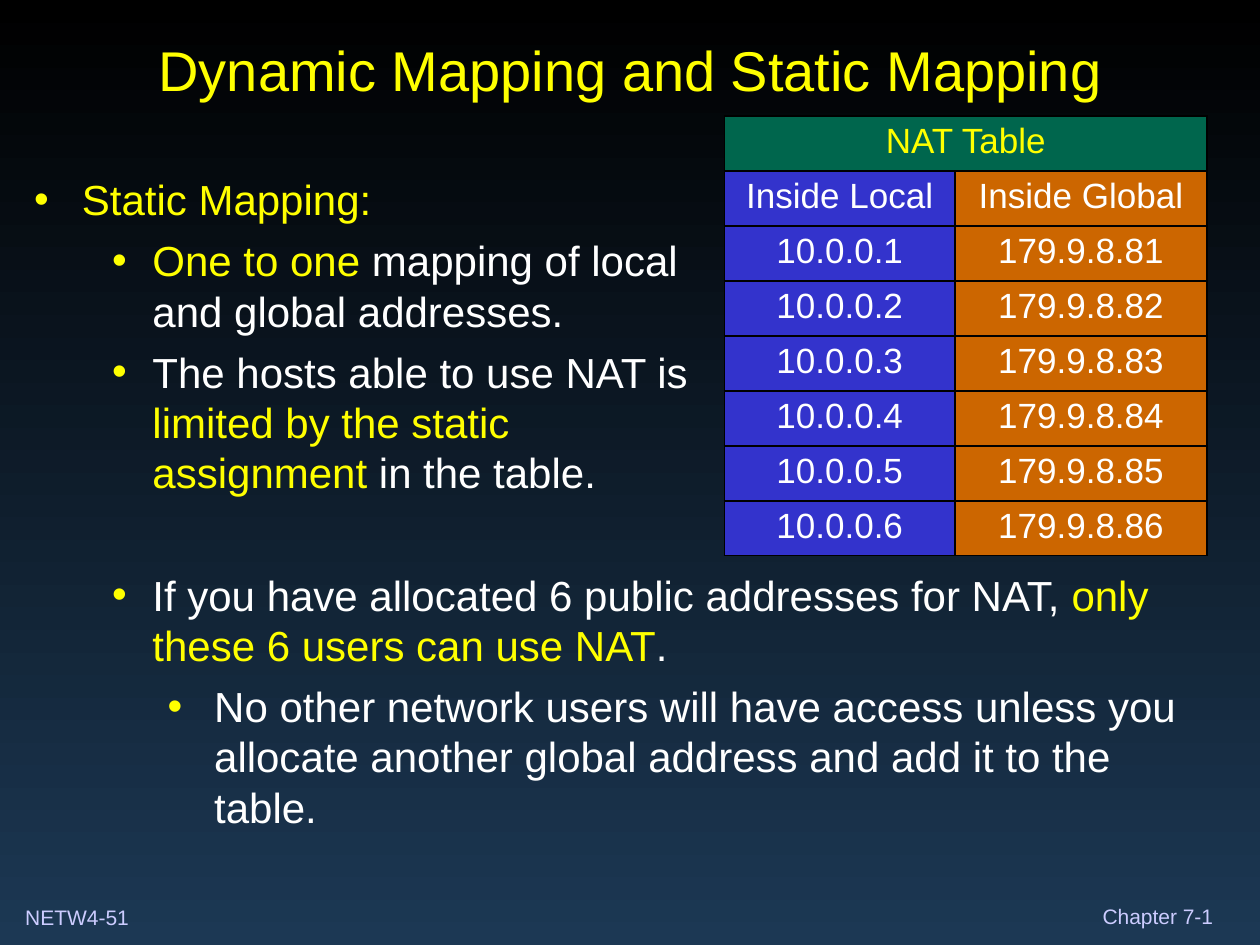
from lxml.etree import SubElement
from pptx import Presentation
from pptx.dml.color import RGBColor
from pptx.enum.text import MSO_ANCHOR, MSO_AUTO_SIZE, PP_ALIGN
from pptx.oxml.ns import qn
from pptx.util import Inches, Pt

COLORS = {
    "sky_top": "000000",
    "sky_bottom": "1C3854",
    "accent": "FFFF00",
    "text": "FFFFFF",
    "footer": "CCCCFF",
    "header": "00664D",
    "local": "3333CC",
    "global": "CC6600",
    "border": "000000",
}
INDENTS = [(0.38, -0.38), (0.94, -0.32), (1.43, -0.37)]
BULLETS = [
    (0, 0, [("Static Mapping:", "accent")]),
    (1, 6, [("One to one", "accent"),
            (" mapping of local\nand global addresses.", "text")]),
    (1, 6, [("The hosts able to use NAT is\n", "text"),
            ("limited by the static\nassignment", "accent"),
            (" in the table.", "text")]),
    (1, 41, [("If you have allocated 6 public addresses for NAT, ", "text"),
             ("only these 6 users can use NAT", "accent"), (".", "text")]),
    (2, 6, [("No other network users will have access unless you allocate "
             "another global address and add it to the table.", "text")]),
]
NAT_ROWS = [("Inside Local", "Inside Global")] + [
    (f"10.0.0.{n}", f"179.9.8.8{n}") for n in range(1, 7)]


def rgb(name):
    """Return the named colour."""
    return RGBColor.from_string(COLORS[name])


def write(p, text, size=24, color="text", align=None):
    """Add formatted text to a paragraph, breaking lines at newlines."""
    if align is not None:
        p.alignment = align
    for i, line in enumerate(text.split("\n")):
        if i:
            p.add_line_break()
        if line:
            r = p.add_run()
            r.text = line
            r.font.name = "Arial"
            r.font.size = Pt(size)
            r.font.color.rgb = rgb(color)


def place(sp, box, anchor=MSO_ANCHOR.TOP):
    """Move a shape to a box and return its wrapped text frame."""
    sp.left, sp.top, sp.width, sp.height = (Inches(v) for v in box)
    tf = sp.text_frame
    tf.word_wrap = True
    tf.auto_size = MSO_AUTO_SIZE.NONE
    tf.vertical_anchor = anchor
    return tf


def set_bullet(p, level):
    """Give a paragraph the hanging bullet of its level."""
    p.level = level
    left, hang = INDENTS[level]
    pPr = p._p.get_or_add_pPr()
    pPr.set("marL", str(Inches(left)))
    pPr.set("indent", str(Inches(hang)))
    clr = SubElement(pPr, qn("a:buClr"))
    SubElement(clr, qn("a:srgbClr"), val=COLORS["accent"])
    SubElement(pPr, qn("a:buFont"), typeface="Arial")
    SubElement(pPr, qn("a:buChar"), char="•")


def set_borders(cell):
    """Draw a thin line on every side of a cell."""
    tcPr = cell._tc.get_or_add_tcPr()
    for i, side in enumerate(("lnL", "lnR", "lnT", "lnB")):
        ln = tcPr.makeelement(qn(f"a:{side}"), {"w": str(Pt(1.08))})
        fill = SubElement(ln, qn("a:solidFill"))
        SubElement(fill, qn("a:srgbClr"), val=COLORS["border"])
        tcPr.insert(i, ln)


def add_background(s):
    """Fill the slide with a vertical gradient."""
    fill = s.background.fill
    fill.gradient()
    fill.gradient_angle = 270
    for stop, pos, name in zip(fill.gradient_stops, (0, 1), ("sky_top", "sky_bottom")):
        stop.position = pos
        stop.color.rgb = rgb(name)


def add_title(s, box):
    """Write the slide title."""
    tf = place(s.shapes.title, box, MSO_ANCHOR.MIDDLE)
    write(tf.paragraphs[0], "Dynamic Mapping and Static Mapping",
          size=32, color="accent", align=PP_ALIGN.CENTER)


def add_body(s, box):
    """Write the bulleted text."""
    tf = place(s.placeholders[1], box)
    for i, (level, before, parts) in enumerate(BULLETS):
        p = tf.add_paragraph() if i else tf.paragraphs[0]
        set_bullet(p, level)
        p.space_before = Pt(before)
        for text, color in parts:
            write(p, text, color=color)


def fill_cell(cell, text, fill, color="text"):
    """Fill one table cell and write its centred text."""
    cell.fill.solid()
    cell.fill.fore_color.rgb = rgb(fill)
    write(cell.text_frame.paragraphs[0], text, size=20, color=color,
          align=PP_ALIGN.CENTER)


def add_nat_table(s, box):
    """Build the table of local and global addresses."""
    frame = s.shapes.add_table(len(NAT_ROWS) + 1, 2, *(Inches(v) for v in box))
    table = frame.table
    table.first_row = table.horz_banding = False
    table.columns[0].width = Inches(1.83)
    table.columns[1].width = Inches(box[2] - 1.83)
    for cell in table.iter_cells():
        set_borders(cell)
    table.cell(0, 0).merge(table.cell(0, 1))
    fill_cell(table.cell(0, 0), "NAT Table", "header", "accent")
    for i, row in enumerate(NAT_ROWS, 1):
        for j, (text, fill) in enumerate(zip(row, ("local", "global"))):
            fill_cell(table.cell(i, j), text, fill)


def add_footer(s, box, text, margins, anchor):
    """Write one small footer label."""
    tf = place(s.shapes.add_textbox(0, 0, 0, 0), box, anchor)
    tf.margin_left, tf.margin_top, tf.margin_right, tf.margin_bottom = (
        Inches(v) for v in margins)
    write(tf.paragraphs[0], text, size=12, color="footer")


def main():
    """Build and save the slide."""
    prs = Presentation()
    prs.slide_width, prs.slide_height = Inches(10), Inches(7.5)
    s = prs.slides.add_slide(prs.slide_layouts[1])
    add_background(s)
    add_footer(s, (0, 7.13, 1.42, 0.3), "NETW4-51",
               (0.2, 0.05, 0.1, 0.05), MSO_ANCHOR.TOP)
    add_footer(s, (8.75, 7.17, 0.92, 0.2), "Chapter 7-1",
               (0, 0, 0, 0), MSO_ANCHOR.BOTTOM)
    add_title(s, (0.17, 0.17, 9.67, 0.75))
    add_body(s, (0.17, 1.33, 9.58, 5.75))
    add_nat_table(s, (5.75, 0.92, 3.83, 3.49))
    prs.save("out.pptx")


if __name__ == "__main__":
    main()
